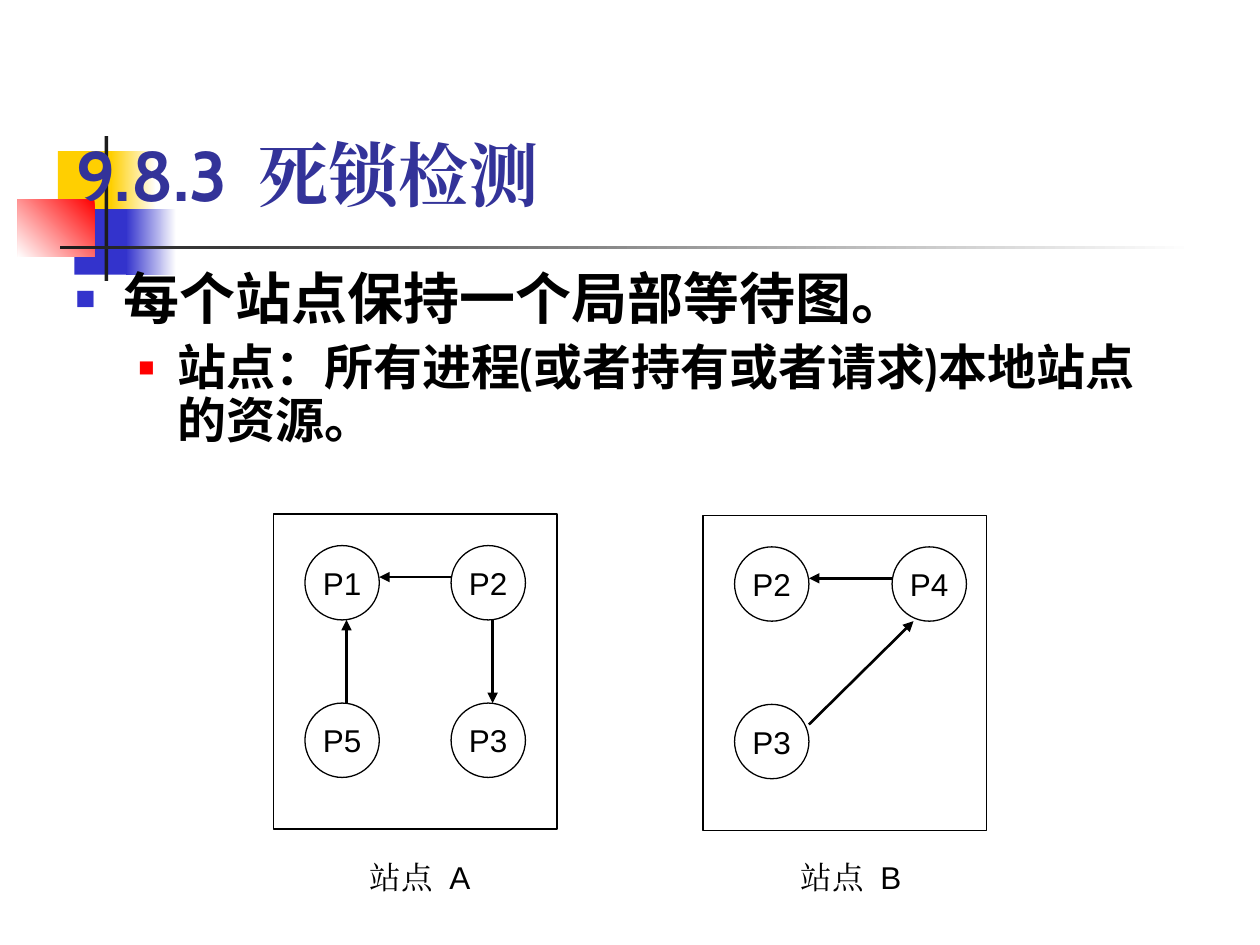
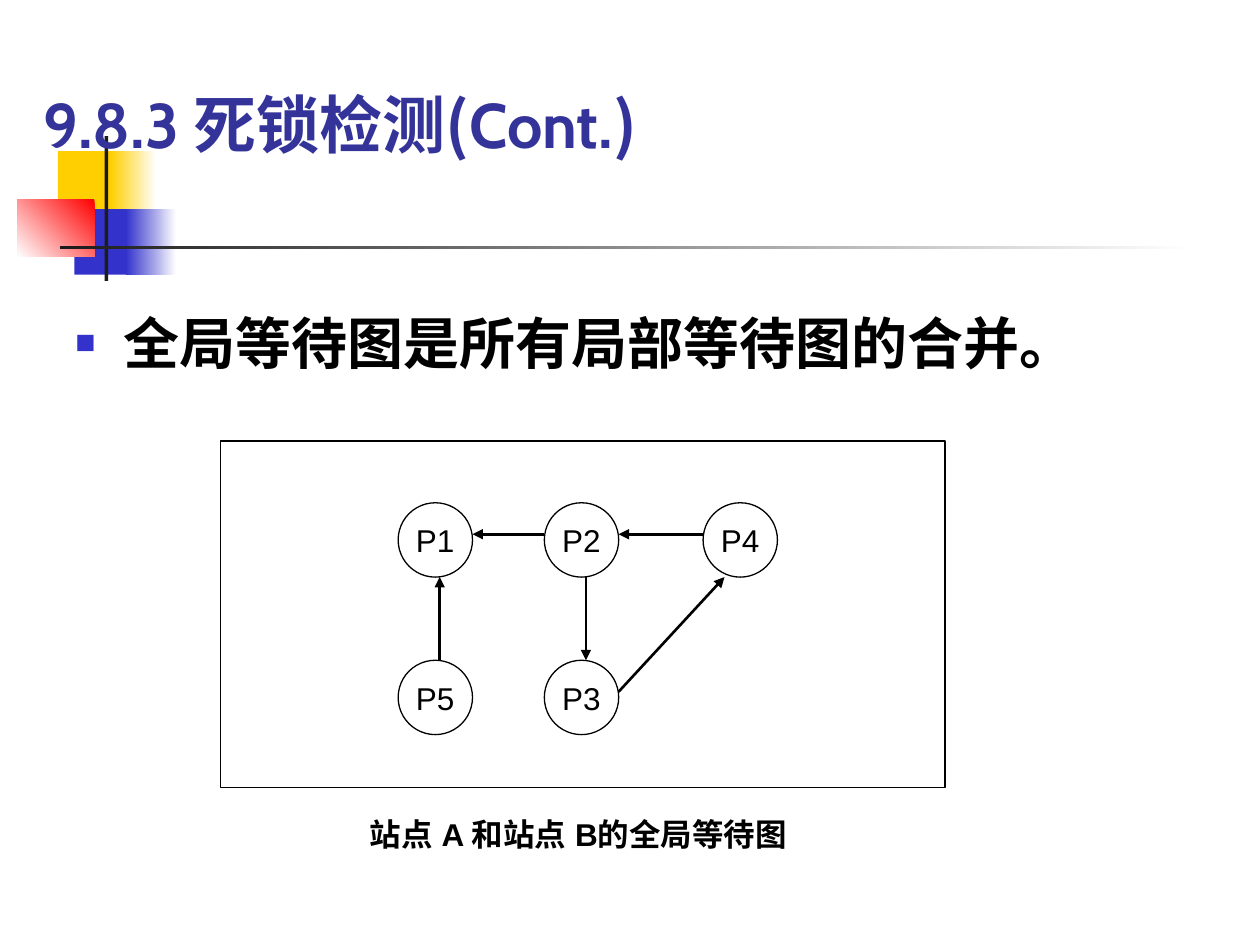
from lxml import etree
from pptx import Presentation
from pptx.dml.color import RGBColor
from pptx.enum.shapes import MSO_CONNECTOR, MSO_SHAPE
from pptx.enum.text import MSO_ANCHOR, PP_ALIGN
from pptx.oxml.ns import qn
from pptx.util import Inches, Pt

RECTANGLE = MSO_SHAPE.RECTANGLE
OVAL = MSO_SHAPE.OVAL
STRAIGHT = MSO_CONNECTOR.STRAIGHT
TOP, MIDDLE, BOTTOM = MSO_ANCHOR.TOP, MSO_ANCHOR.MIDDLE, MSO_ANCHOR.BOTTOM
LEFT, CENTER = PP_ALIGN.LEFT, PP_ALIGN.CENTER

BLACK, WHITE, CHARCOAL = "000000", "FFFFFF", "1C1C1C"
YELLOW, BLUE, RED, TITLE_BLUE = "FFCF01", "3333CC", "FF0000", "333399"
HEADING_FONT, LABEL_FONT = "Cabin", "Arial"
SERIF_FONT, CJK_FONT = "Times New Roman", "Noto Sans CJK SC"

SOLID_BLOCKS = [
    (0.46, 1.2, 0.48, 0.52, YELLOW),
    (0.59, 1.66, 0.46, 0.52, BLUE),
]
FADING_BLOCKS = [
    (0.88, 1.2, 0.36, 0.52, WHITE, YELLOW, 180),
    (1, 1.66, 0.4, 0.52, WHITE, BLUE, 180),
    (0.14, 1.58, 0.61, 0.46, RED, WHITE, 225),
]
VERTICAL_RULE = (0.83, 1.08, 0.03, 1.15, CHARCOAL)
HORIZONTAL_RULE = (0.48, 1.95, 9, 0.03, WHITE, CHARCOAL, 180)

NODE_SIZE = 0.59
NODE_INSET = 0.25
UPPER, LOWER = 0, 1.25
PORTS = {
    "left": (0, 0.25),
    "right": (NODE_SIZE, 0.25),
    "shoulder": (NODE_SIZE, 0.16),
    "top": (0.33, 0),
    "bottom": (0.33, NODE_SIZE),
    "corner": (0.17, NODE_SIZE),
}
SITE_A_NODES = {
    "P1": (0, UPPER), "P2": (1.16, UPPER),
    "P3": (1.16, LOWER), "P5": (0, LOWER),
}
SITE_A_WAITS = [
    ("P2", "left", "P1", "right"),
    ("P2", "bottom", "P3", "top"),
    ("P5", "top", "P1", "bottom"),
]
SITE_B_NODES = {"P2": (0, UPPER), "P4": (1.25, UPPER), "P3": (0, LOWER)}
P4_WAIT = ("P4", "left", "P2", "right")
SITE_B_WAITS = [P4_WAIT, ("P3", "shoulder", "P4", "corner")]
GLOBAL_NODES = {**SITE_A_NODES, "P4": (2.42, UPPER)}
GLOBAL_WAITS = SITE_A_WAITS + [P4_WAIT, ("P3", "right", "P4", "corner")]


def color(value):
    """Turn a hex string into a colour."""
    return RGBColor.from_string(value)


def add_xml(parent, tag, **attributes):
    """Append a DrawingML element with the given attributes."""
    return etree.SubElement(parent, qn(tag), attributes)


def add_preset(page, preset, left, top, width, height):
    """Add a preset shape without shadow, fill or line."""
    shape = page.shapes.add_shape(
        preset, Inches(left), Inches(top), Inches(width), Inches(height))
    shape.shadow.inherit = False
    shape.fill.background()
    shape.line.fill.background()
    return shape


def add_solid(page, left, top, width, height, fill):
    """Add a rectangle of one colour."""
    block = add_preset(page, RECTANGLE, left, top, width, height)
    block.fill.solid()
    block.fill.fore_color.rgb = color(fill)


def add_fade(page, left, top, width, height, start, end, angle):
    """Add a rectangle that fades between two colours."""
    block = add_preset(page, RECTANGLE, left, top, width, height)
    block.fill.gradient()
    block.fill.gradient_angle = angle
    for stop, value in zip(block.fill.gradient_stops, (start, end)):
        stop.color.rgb = color(value)


def add_outline(page, preset, left, top, width, height):
    """Add an unfilled shape with a thin black line."""
    shape = add_preset(page, preset, left, top, width, height)
    shape.line.fill.solid()
    shape.line.fill.fore_color.rgb = color(BLACK)
    shape.line.width = Pt(0.75)
    return shape


def add_span(para, text, font, size, fill, bold=False, spacing=0):
    """Add a run whose font also covers its Chinese characters."""
    span = para.add_run()
    span.text = text
    span.font.name = font
    span.font.size = Pt(size)
    span.font.bold = bold
    span.font.color.rgb = color(fill)
    properties = span.font._element
    add_xml(properties, "a:ea", typeface=font)
    if spacing:
        properties.set("spc", str(spacing * 100))


def add_text_box(page, left, top, width, height, anchor, wrap=True):
    """Add an empty text box and return its text frame."""
    box = page.shapes.add_textbox(
        Inches(left), Inches(top), Inches(width), Inches(height))
    frame = box.text_frame
    frame.word_wrap = wrap
    frame.vertical_anchor = anchor
    return frame


def add_title(page, left, top, width, height, size, spans):
    """Add the slide title from (text, font, spacing) spans."""
    frame = add_text_box(page, left, top, width, height, BOTTOM)
    for text, font, spacing in spans:
        add_span(frame.paragraphs[0], text, font, size, TITLE_BLUE, True, spacing)


def add_caption(page, left, top, width, spans, bold=False):
    """Add a centred caption from (text, font, spacing) spans."""
    frame = add_text_box(page, left, top, width, 0.4, MIDDLE, wrap=False)
    para = frame.paragraphs[0]
    para.alignment = CENTER
    for text, font, spacing in spans:
        add_span(para, text, font, 18, BLACK, bold, spacing)


def format_bullet(para, margin, hanging, fill, percent):
    """Give a paragraph a hanging square bullet."""
    properties = para._p.get_or_add_pPr()
    properties.set("marL", str(Inches(margin)))
    properties.set("indent", str(-Inches(hanging)))
    add_xml(add_xml(properties, "a:buClr"), "a:srgbClr", val=fill)
    add_xml(properties, "a:buSzPct", val=str(percent * 1000))
    add_xml(properties, "a:buFont", typeface=LABEL_FONT)
    add_xml(properties, "a:buChar", char="■")


def add_point(para, text, level=0, line_spacing=1.0):
    """Fill a paragraph as a bullet of the first or second level."""
    size, before, bullet = [
        (32, 8, (0.38, 0.38, BLUE, 60)),
        (28, 7, (0.81, 0.31, RED, 55)),
    ][level]
    para.level = level
    para.alignment = LEFT
    para.line_spacing = line_spacing
    para.space_before = Pt(before)
    format_bullet(para, *bullet)
    add_span(para, text, HEADING_FONT, size, BLACK, True)


def add_node(page, name, left, top):
    """Add a process circle with its name."""
    node = add_outline(page, OVAL, left, top, NODE_SIZE, NODE_SIZE)
    frame = node.text_frame
    frame.word_wrap = False
    frame.vertical_anchor = MIDDLE
    para = frame.paragraphs[0]
    para.alignment = CENTER
    add_span(para, name, LABEL_FONT, 18, BLACK)


def add_arrow(page, start, end):
    """Add an arrow between two points in inches."""
    arrow = page.shapes.add_connector(
        STRAIGHT, *(Inches(value) for value in (*start, *end)))
    arrow.line.color.rgb = color(BLACK)
    arrow.line.width = Pt(1.5)
    add_xml(arrow.line._get_or_add_ln(), "a:tailEnd", type="triangle")
    add_xml(arrow._element.spPr, "a:effectLst")


def add_wait_graph(page, left, top, nodes, waits):
    """Draw processes and the arrows showing who waits for whom."""
    def port(name, side):
        """Locate one connection point of a process."""
        column, row = nodes[name]
        across, down = PORTS[side]
        return left + column + across, top + row + down

    for name, (column, row) in nodes.items():
        add_node(page, name, left + column, top + row)
    for source, source_side, target, target_side in waits:
        add_arrow(page, port(source, source_side), port(target, target_side))


def add_site(page, letter, left, top, nodes, waits, caption_left):
    """Draw one site: frame, local wait-for graph and caption."""
    add_outline(page, RECTANGLE, left, top, 2.25, 2.5)
    add_wait_graph(page, left + NODE_INSET, top + NODE_INSET, nodes, waits)
    add_caption(page, caption_left, 6.76, 1.05, [
        ("站点", SERIF_FONT, 0), (" ", SERIF_FONT, 5), (letter, LABEL_FONT, 0)])


def add_page(deck):
    """Add a blank slide with the shared corner blocks and rules."""
    page = deck.slides.add_slide(deck.slide_layouts[6])
    for solid, fade in zip(SOLID_BLOCKS, FADING_BLOCKS):
        add_solid(page, *solid)
        add_fade(page, *fade)
    add_fade(page, *FADING_BLOCKS[-1])
    add_solid(page, *VERTICAL_RULE)
    add_fade(page, *HORIZONTAL_RULE)
    return page


def build_local_graphs(deck):
    """Build the slide with the wait-for graph of each site."""
    page = add_page(deck)
    add_title(page, 0.51, 0.84, 9.17, 0.92, 40, [
        ("9.8.3", HEADING_FONT, 0), (" ", HEADING_FONT, 9),
        ("死锁检测", SERIF_FONT, 0)])
    body = add_text_box(page, 0.5, 2.1, 8.92, 1.57, TOP)
    add_point(body.paragraphs[0], "每个站点保持一个局部等待图。", 0, 0.9)
    add_point(body.add_paragraph(),
              "站点：所有进程(或者持有或者请求)本地站点的资源。", 1, 0.9)
    add_site(page, "A", 2.17, 4.08, SITE_A_NODES, SITE_A_WAITS, 2.81)
    add_site(page, "B", 5.58, 4.09, SITE_B_NODES, SITE_B_WAITS, 6.23)


def build_global_graph(deck):
    """Build the slide with the merged wait-for graph."""
    page = add_page(deck)
    add_title(page, 0.25, 0.33, 9.42, 1, 36, [
        ("9.8.3 死锁检测", HEADING_FONT, 0), ("(", CJK_FONT, 0),
        ("Cont.", HEADING_FONT, 0), (")", CJK_FONT, 0)])
    body = add_text_box(page, 0.5, 2.4, 9, 1.02, TOP)
    add_point(body.paragraphs[0], "全局等待图是所有局部等待图的合并。")
    add_outline(page, RECTANGLE, 1.75, 3.5, 5.75, 2.75)
    add_wait_graph(page, 3.16, 3.99, GLOBAL_NODES, GLOBAL_WAITS)
    add_caption(page, 2.72, 6.42, 3.74, [
        ("站点 A 和站点 B的全局等待图", LABEL_FONT, 0)], bold=True)


def main():
    """Build and save the deck."""
    deck = Presentation()
    deck.slide_width = Inches(10)
    deck.slide_height = Inches(7.5)
    build_local_graphs(deck)
    build_global_graph(deck)
    deck.save("out.pptx")


if __name__ == "__main__":
    main()
